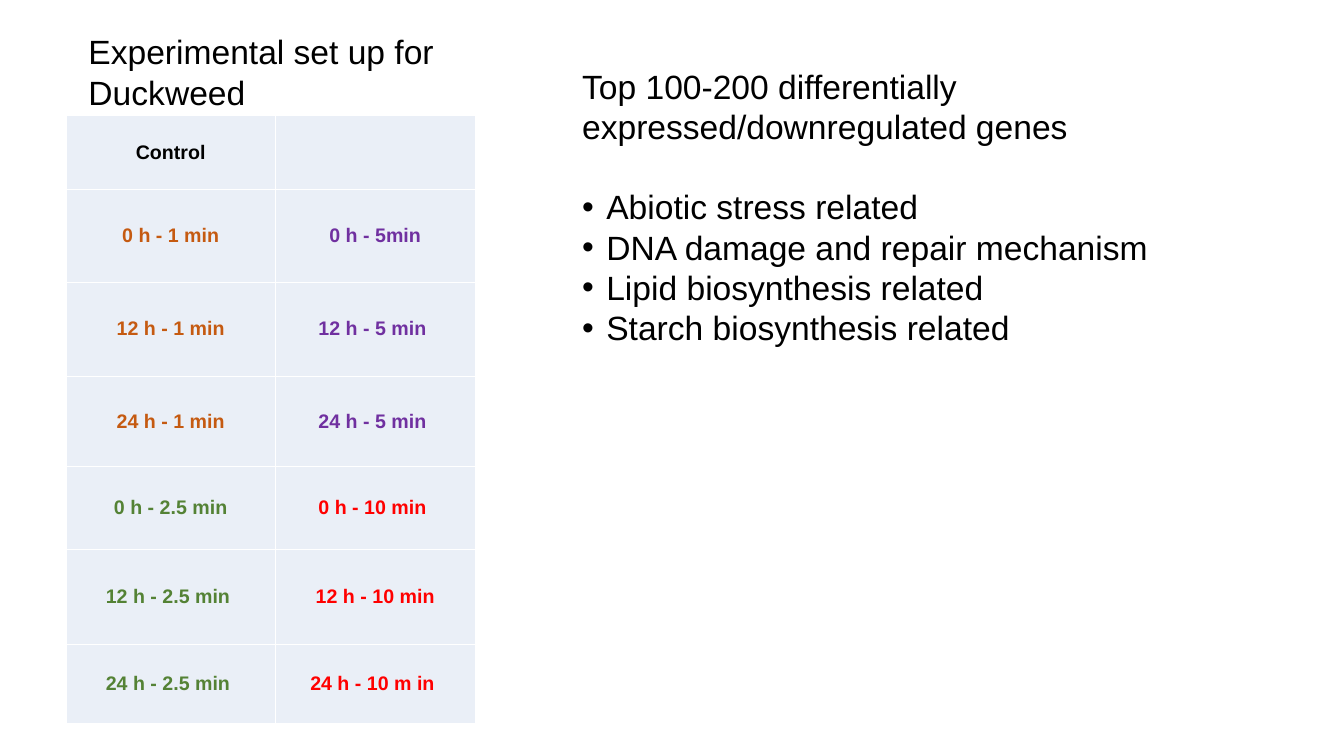
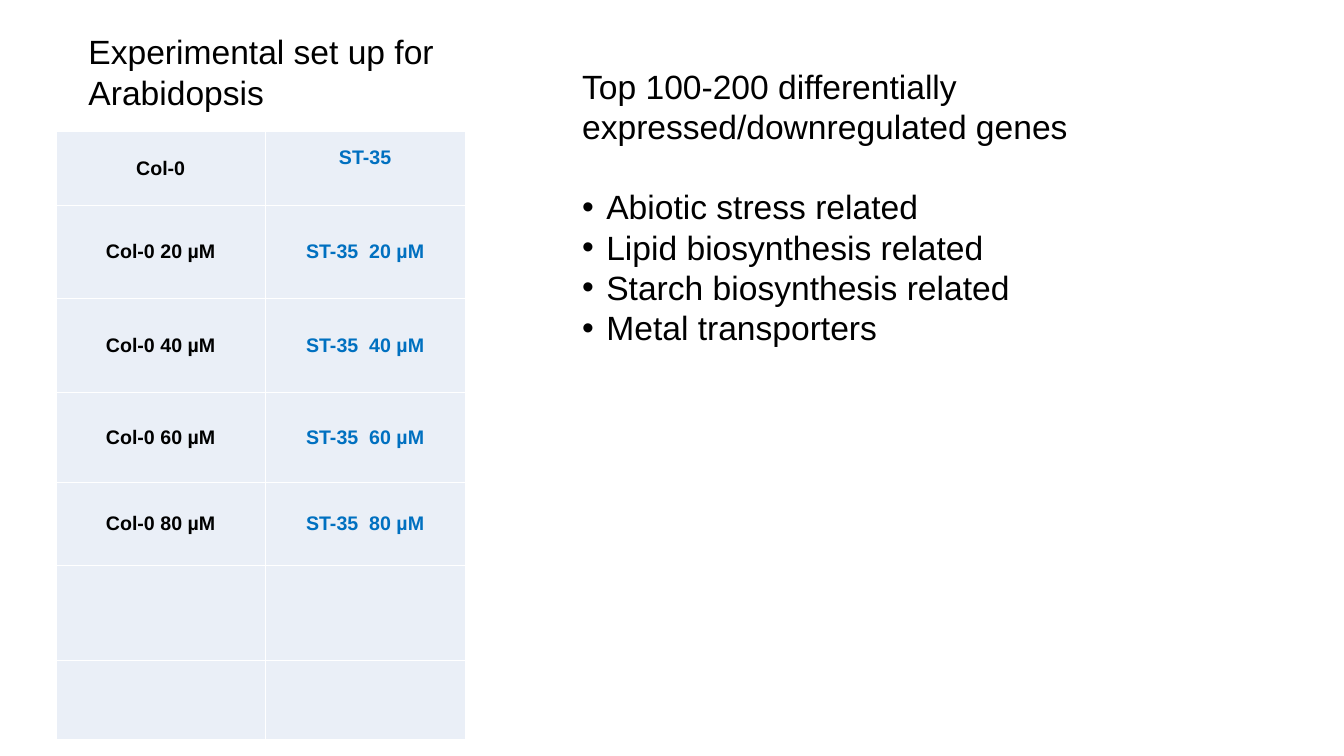
"""Build two slides pairing an experimental set-up table with a list of target genes."""
from dataclasses import dataclass

from lxml.etree import SubElement
from pptx import Presentation
from pptx.dml.color import RGBColor
from pptx.enum.text import MSO_ANCHOR, PP_ALIGN
from pptx.oxml import parse_xml
from pptx.oxml.ns import nsdecls, qn
from pptx.util import Pt

PX = 9144


@dataclass(frozen=True)
class Theme:
    font: str = "Arial"
    text_size: float = 24
    line_pitch: float = 28.8
    cell_size: float = 14
    border_width: float = 0.45
    cell_fill: str = "EAEFF7"
    border: str = "FFFFFF"
    black: str = "000000"
    orange: str = "C55A11"
    purple: str = "7030A0"
    green: str = "548235"
    red: str = "FF0000"
    blue: str = "0070C0"


THEME = Theme()
COLUMN_WIDTHS = (207, 199)
ROW_HEIGHTS = (74, 92, 93, 90, 82, 94, 79)
CELL_LINE = 22
BULLET_INDENT = 24
GENES_HEADING = "Top 100-200 differentially expressed/downregulated genes"

duckweed_rows = [
    (("Control", THEME.black), None),
    (("0 h - 1 min", THEME.orange), ("0 h - 5min", THEME.purple)),
    (("12 h - 1 min", THEME.orange), ("12 h - 5 min ", THEME.purple)),
    (("24 h - 1 min", THEME.orange), ("24 h - 5 min ", THEME.purple)),
    (("0 h - 2.5 min", THEME.green), ("0 h - 10 min ", THEME.red)),
    (("12 h - 2.5 min ", THEME.green), ("12 h - 10 min", THEME.red)),
    (("24 h - 2.5 min ", THEME.green), ("24 h - 10 m in ", THEME.red)),
]
arabidopsis_rows = [(("Col-0", THEME.black), ("ST-35", THEME.blue))]
for dose in (20, 40, 60, 80):
    arabidopsis_rows.append(
        ((f"Col-0 {dose} µM", THEME.black), (f"ST-35  {dose} µM", THEME.blue))
    )
arabidopsis_rows += [(None, None)] * 2

experiments = [
    {
        "plant": "Duckweed",
        "table_at": (66, 114),
        "rows": duckweed_rows,
        "raised_cells": [],
        "genes": [
            "Abiotic stress related",
            "DNA damage and repair mechanism",
            "Lipid biosynthesis related",
            "Starch biosynthesis related",
        ],
    },
    {
        "plant": "Arabidopsis",
        "table_at": (56, 130),
        "rows": arabidopsis_rows,
        "raised_cells": [(0, 1)],
        "genes": [
            "Abiotic stress related",
            "Lipid biosynthesis related",
            "Starch biosynthesis related",
            "Metal transporters",
        ],
    },
]


def add_run(paragraph, text, size, color, bold=False):
    run = paragraph.add_run()
    run.text = text
    run.font.name = THEME.font
    run.font.size = Pt(size)
    run.font.bold = bold
    run.font.color.rgb = RGBColor.from_string(color)


def add_text_box(slide, left, top, width, height, heading, bullets=()):
    shape = slide.shapes.add_textbox(left * PX, top * PX, width * PX, height * PX)
    frame = shape.text_frame
    frame.word_wrap = True
    for index, text in enumerate([heading, *bullets]):
        paragraph = frame.add_paragraph() if index else frame.paragraphs[0]
        paragraph.line_spacing = Pt(THEME.line_pitch)
        add_run(paragraph, text, THEME.text_size, THEME.black)
        if index == 1:
            paragraph.space_before = Pt(THEME.line_pitch)
        if index:
            properties = paragraph._p.get_or_add_pPr()
            properties.set("marL", str(BULLET_INDENT * PX))
            properties.set("indent", str(-BULLET_INDENT * PX))
            SubElement(properties, qn("a:buFont"), typeface=THEME.font)
            SubElement(properties, qn("a:buChar"), char="•")


presentation = Presentation()
presentation.slide_width = 1334 * PX
presentation.slide_height = 750 * PX

for experiment in experiments:
    slide = presentation.slides.add_slide(presentation.slide_layouts[6])

    left, top = experiment["table_at"]
    table = slide.shapes.add_table(
        len(ROW_HEIGHTS), len(COLUMN_WIDTHS), left * PX, top * PX,
        sum(COLUMN_WIDTHS) * PX, sum(ROW_HEIGHTS) * PX,
    ).table
    table.first_row = False
    table.horz_banding = False
    for column, width in zip(table.columns, COLUMN_WIDTHS):
        column.width = width * PX
    for row, height in zip(table.rows, ROW_HEIGHTS):
        row.height = height * PX

    for row_index, entries in enumerate(experiment["rows"]):
        for column_index, entry in enumerate(entries):
            cell = table.cell(row_index, column_index)
            cell.fill.solid()
            cell.fill.fore_color.rgb = RGBColor.from_string(THEME.cell_fill)
            cell.vertical_anchor = MSO_ANCHOR.MIDDLE
            cell.margin_left = cell.margin_right = 1 * PX
            cell.margin_top = cell.margin_bottom = 5 * PX
            if (row_index, column_index) in experiment["raised_cells"]:
                cell.margin_bottom = (5 + CELL_LINE) * PX
            for position, side in enumerate(("lnL", "lnR", "lnT", "lnB")):
                border = parse_xml(
                    f'<a:{side} {nsdecls("a")} w="{Pt(THEME.border_width)}"><a:solidFill>'
                    f'<a:srgbClr val="{THEME.border}"/></a:solidFill></a:{side}>'
                )
                cell._tc.get_or_add_tcPr().insert(position, border)
            if entry:
                text, color = entry
                paragraph = cell.text_frame.paragraphs[0]
                paragraph.alignment = PP_ALIGN.CENTER
                add_run(paragraph, text, THEME.cell_size, color, bold=True)

    add_text_box(slide, 78, 26, 389, 90, f"Experimental set up for {experiment['plant']}")
    add_text_box(slide, 568, 60, 725, 330, GENES_HEADING, experiment["genes"])

presentation.save("out.pptx")
